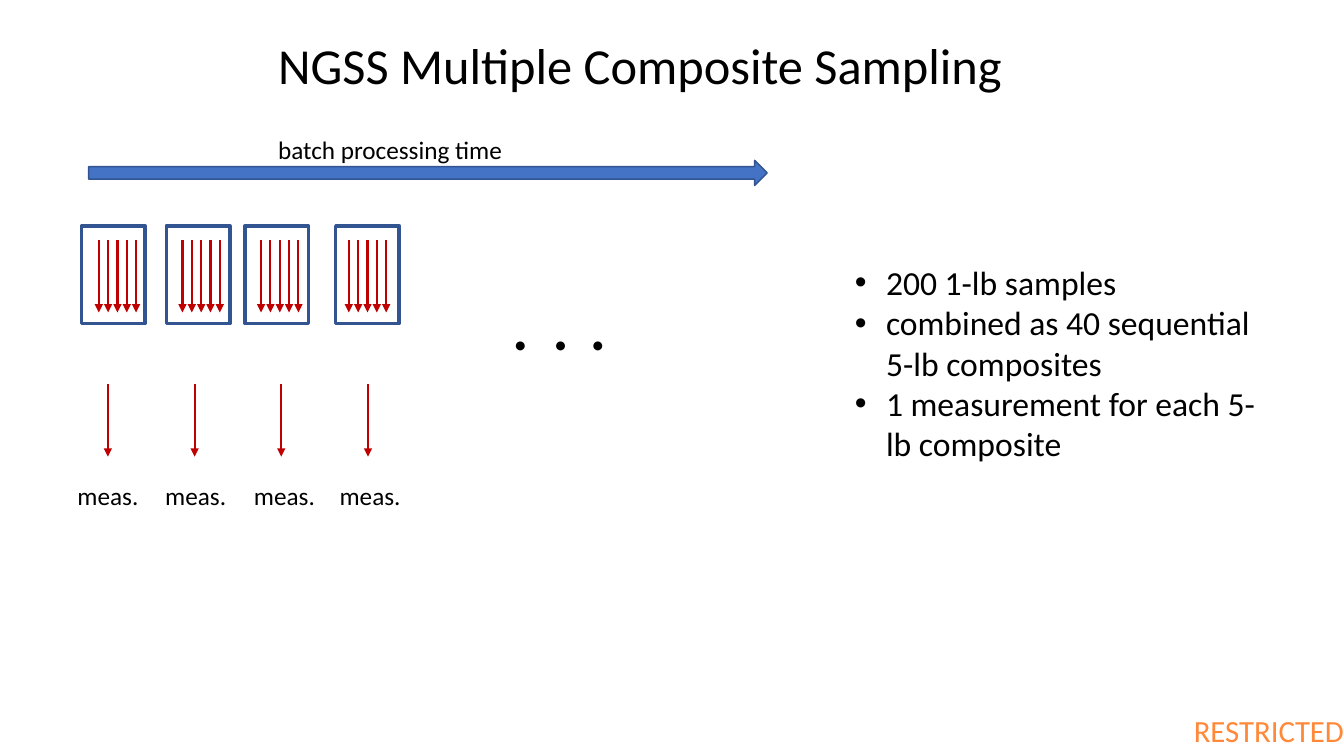
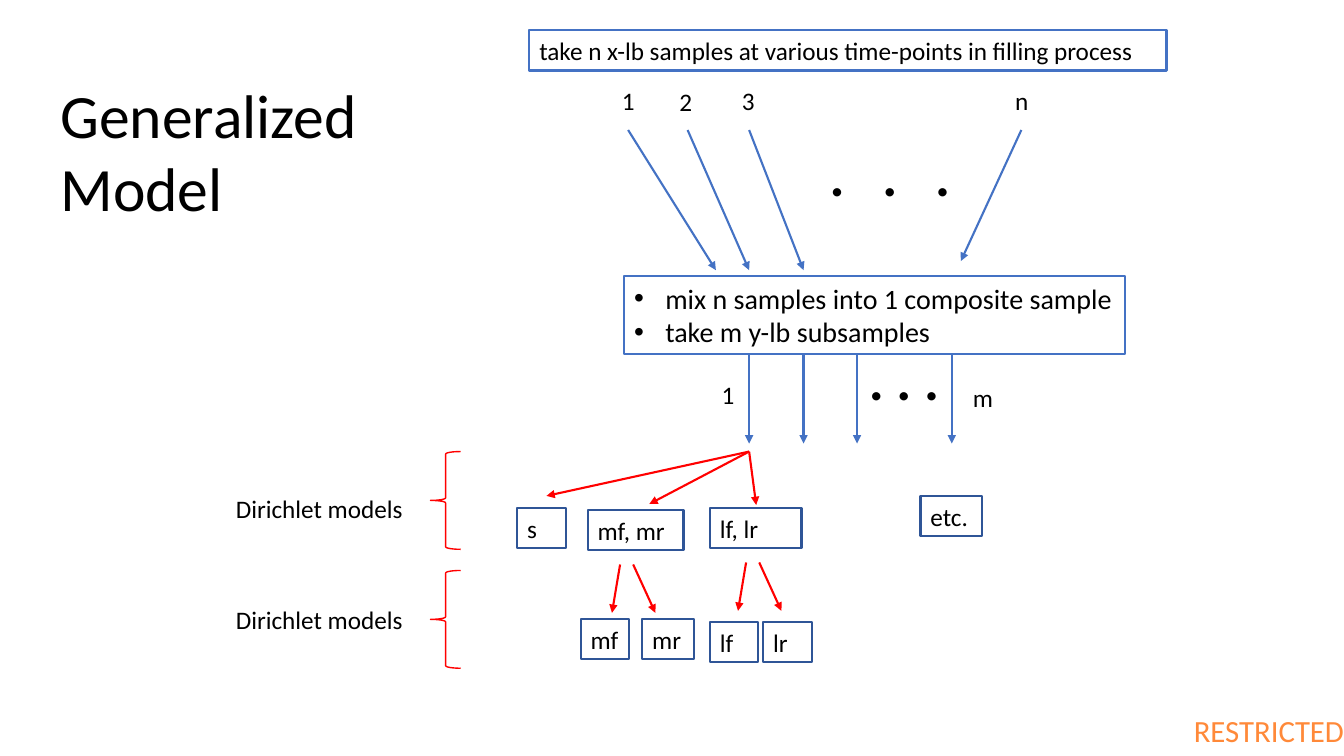
import pptx
import pptx.dml.color
import pptx.enum.shapes
import pptx.enum.text
import pptx.oxml
import pptx.oxml.ns
import pptx.util
from pptx.util import Inches

COLORS = {
    "text": "000000",
    "footer": "FF8939",
    "blue": "4472C4",
    "frame": "325491",
    "box": "2F5597",
    "sample": "C00000",
    "split": "FF0000",
}
FONT = "Calibri"
SHAPES = pptx.enum.shapes.MSO_SHAPE
ALIGN = pptx.enum.text.PP_ALIGN
ANCHOR = pptx.enum.text.MSO_ANCHOR


def rgb(name):
    return pptx.dml.color.RGBColor.from_string(COLORS[name])


def add_xml(parent, tag, **attributes):
    element = pptx.oxml.parse_xml(f'<a:{tag} {pptx.oxml.ns.nsdecls("a")}/>')
    for name, value in attributes.items():
        element.set(name, value)
    parent.append(element)


def write(frame, text, size=18, color="text", bold=False, align=ALIGN.LEFT,
          anchor=ANCHOR.TOP, wrap=False, bullets=False, inset=None, spacing=0):
    """Fill a text frame, one paragraph per line; spacing is in points per letter."""
    frame.word_wrap = wrap
    frame.vertical_anchor = anchor
    if inset is not None:
        frame.margin_left = frame.margin_right = Inches(inset)
        frame.margin_top = frame.margin_bottom = Inches(inset)
    for index, line in enumerate(text.split("\n")):
        paragraph = frame.add_paragraph() if index else frame.paragraphs[0]
        paragraph.alignment = align
        if bullets:
            properties = paragraph._p.get_or_add_pPr()
            indent = Inches(0.31)
            properties.set("marL", str(indent))
            properties.set("indent", str(-indent))
            add_xml(properties, "buFont", typeface="Arial")
            add_xml(properties, "buChar", char="•")
        run = paragraph.add_run()
        run.text = line
        run.font.name = FONT
        run.font.size = pptx.util.Pt(size)
        run.font.bold = bold
        run.font.color.rgb = rgb(color)
        if spacing:
            run._r.get_or_add_rPr().set("spc", str(spacing * 100))


class Deck:
    """Holds the shared style and the slide being drawn."""

    def __init__(self):
        self.presentation = pptx.Presentation()
        self.presentation.slide_width = Inches(13.33)
        self.presentation.slide_height = Inches(7.5)
        self.slide = None

    def new_slide(self, title, left, top, width, height, size):
        self.slide = self.presentation.slides.add_slide(self.presentation.slide_layouts[6])
        self.text("RESTRICTED", 11.28, 6.99, 2.05, 0.51, size=22, color="footer",
                  align=ALIGN.RIGHT, anchor=ANCHOR.MIDDLE, wrap=True, inset=0)
        self.text(title, left, top, width, height, size=size, wrap=True)

    def text(self, text, left, top, width=0.33, height=0.4, **style):
        box = self.slide.shapes.add_textbox(
            Inches(left), Inches(top), Inches(width), Inches(height))
        write(box.text_frame, text, **style)

    def shape(self, kind, left, top, width, height, line, weight=1.5, fill=None):
        shape = self.slide.shapes.add_shape(
            kind, Inches(left), Inches(top), Inches(width), Inches(height))
        shape.shadow.inherit = False
        if fill:
            shape.fill.solid()
            shape.fill.fore_color.rgb = rgb(fill)
        else:
            shape.fill.background()
        shape.line.color.rgb = rgb(line)
        shape.line.width = pptx.util.Pt(weight)
        return shape

    def box(self, text, left, top, width, height=0.4, line="box", weight=1.5, **style):
        shape = self.shape(SHAPES.RECTANGLE, left, top, width, height, line, weight)
        write(shape.text_frame, text, wrap=True, **style)

    def arrow(self, start, end, color):
        connector = self.slide.shapes.add_connector(
            pptx.enum.shapes.MSO_CONNECTOR.STRAIGHT,
            *(Inches(value) for value in (*start, *end)))
        connector.line.color.rgb = rgb(color)
        connector.line.width = pptx.util.Pt(1.5)
        add_xml(connector.line._get_or_add_ln(), "tailEnd", type="triangle")
        add_xml(connector._element.spPr, "effectLst")


def draw_composite_sampling(deck):
    deck.new_slide("NGSS Multiple Composite Sampling", 2.66, 0.29, 8.95, 0.7, 36)
    deck.text("200 1-lb samples\ncombined as 40 sequential 5-lb composites\n"
              "1 measurement for each 5-lb composite",
              8.38, 2.55, 4.24, 2.12, size=24, wrap=True, bullets=True)
    deck.shape(SHAPES.RIGHT_ARROW, 0.88, 1.59, 6.73, 0.25, "frame", 1, fill="blue")
    deck.text("batch processing time", 2.66, 1.28, 2.45)

    # Left edges of each composite's frame, first sample arrow and label
    composites = [(0.81, 0.98, 0.67), (1.65, 1.81, 1.54),
                  (2.43, 2.59, 2.42), (3.33, 3.46, 3.27)]
    for index, (frame, sample, label) in enumerate(composites):
        for step in range(5):
            x = sample + 0.37 * step / 4
            deck.arrow((x, 2.38), (x, 3.1), "sample")
        deck.shape(SHAPES.RECTANGLE, frame, 2.24, 0.63, 0.97, "frame", 2.5)
        x = 1.07 + 0.86 * index
        deck.arrow((x, 3.81), (x, 4.53), "sample")
        deck.text("meas.", label, 4.72, 0.81)
    for left in (5, 5.4, 5.77):
        deck.text("•", left, 3.21)


def draw_generalized_model(deck):
    deck.new_slide("Generalized Model", 0.5, 0.71, 3.89, 1.58, 44)

    deck.box("take n x-lb samples at various time-points in filling process",
             5.25, 0.3, 6.32, line="blue")
    samples = [("1", 6.07, 0.8, (6.23, 1.29), (7.1, 2.68)),
               ("2", 6.64, 0.81, (6.82, 1.29), (7.43, 2.68)),
               ("3", 7.26, 0.8, (7.43, 1.29), (7.97, 2.68)),
               ("n", 9.97, 0.8, (10.13, 1.29), (9.53, 2.59))]
    for label, left, top, start, end in samples:
        deck.text(label, left, top)
        deck.arrow(start, end, "blue")
    deck.text(". . .", 8.13, 1.35, 1.41, 0.77, size=40, bold=True, spacing=9)

    deck.box("mix n samples into 1 composite sample\ntake m y-lb subsamples",
             6.19, 2.74, 4.97, 0.77, line="blue", weight=1.75, size=20, bullets=True)
    for x in (7.43, 7.97, 8.5, 9.44):
        deck.arrow((x, 3.52), (x, 4.4), "blue")
    deck.text("1", 7.06, 3.71)
    deck.text("m", 9.55, 3.74, 0.4)
    deck.text(". . .", 8.52, 3.37, 0.9, 0.77, size=40, bold=True)

    for end in ((5.42, 4.92), (6.44, 5), (7.5, 5.01)):
        deck.arrow((7.43, 4.48), end, "split")
    for x, y in ((6.15, 5.6), (7.4, 5.58)):
        deck.arrow((x, y), (x - 0.08, y + 0.48), "split")
        deck.arrow((x + 0.13, y), (x + 0.35, y + 0.48), "split")

    boxes = [("s", 5.13, 5.04, 0.48), ("mf, mr", 5.83, 5.06, 0.95),
             ("lf, lr", 7.04, 5.04, 0.91), ("etc.", 9.13, 4.92, 0.61),
             ("mf", 5.76, 6.14, 0.48), ("mr", 6.37, 6.14, 0.51),
             ("lf", 7.04, 6.17, 0.48), ("lr", 7.57, 6.17, 0.48)]
    for box in boxes:
        deck.box(*box)

    for label_top, brace_top in ((4.84, 4.48), (5.95, 5.66)):
        deck.text("Dirichlet models", 2.24, label_top, 1.88)
        deck.shape(SHAPES.LEFT_BRACE, 4.27, brace_top, 0.3, 0.97, "split", 1)


def main():
    deck = Deck()
    draw_composite_sampling(deck)
    draw_generalized_model(deck)
    deck.presentation.save("out.pptx")


if __name__ == "__main__":
    main()
